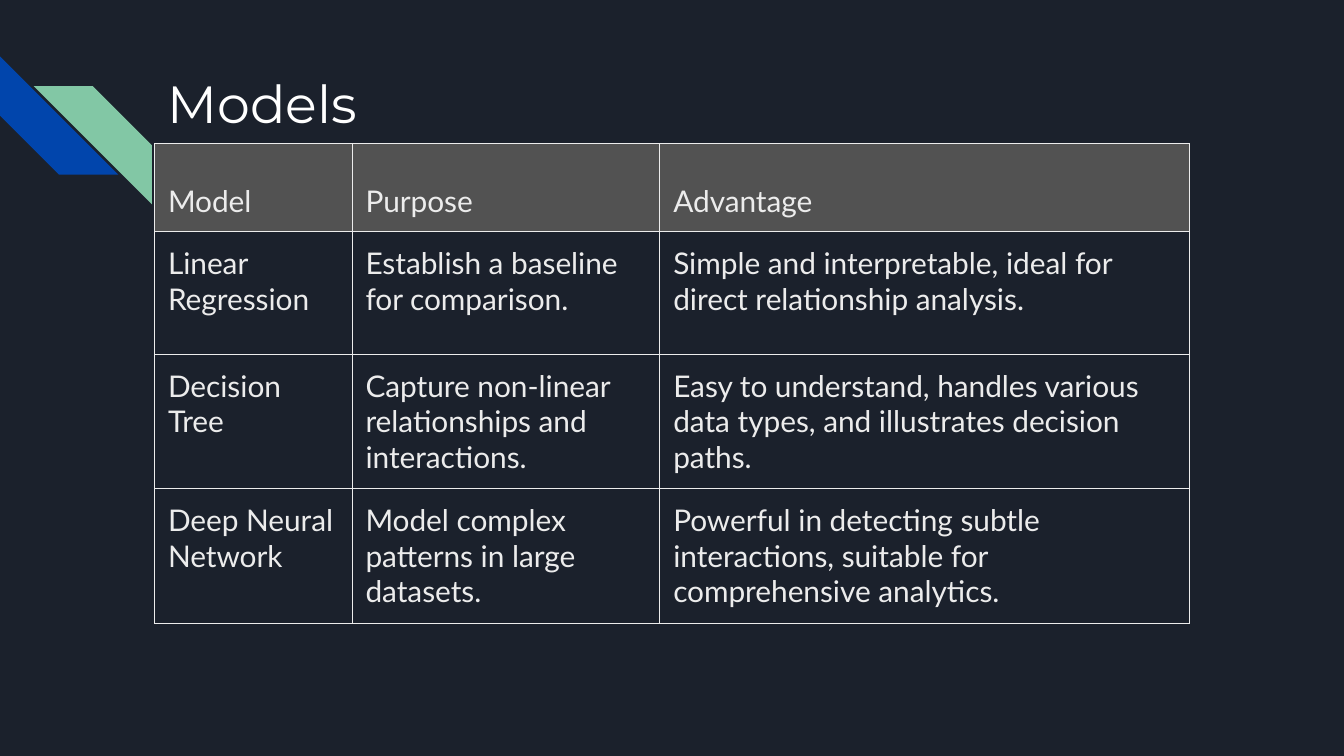
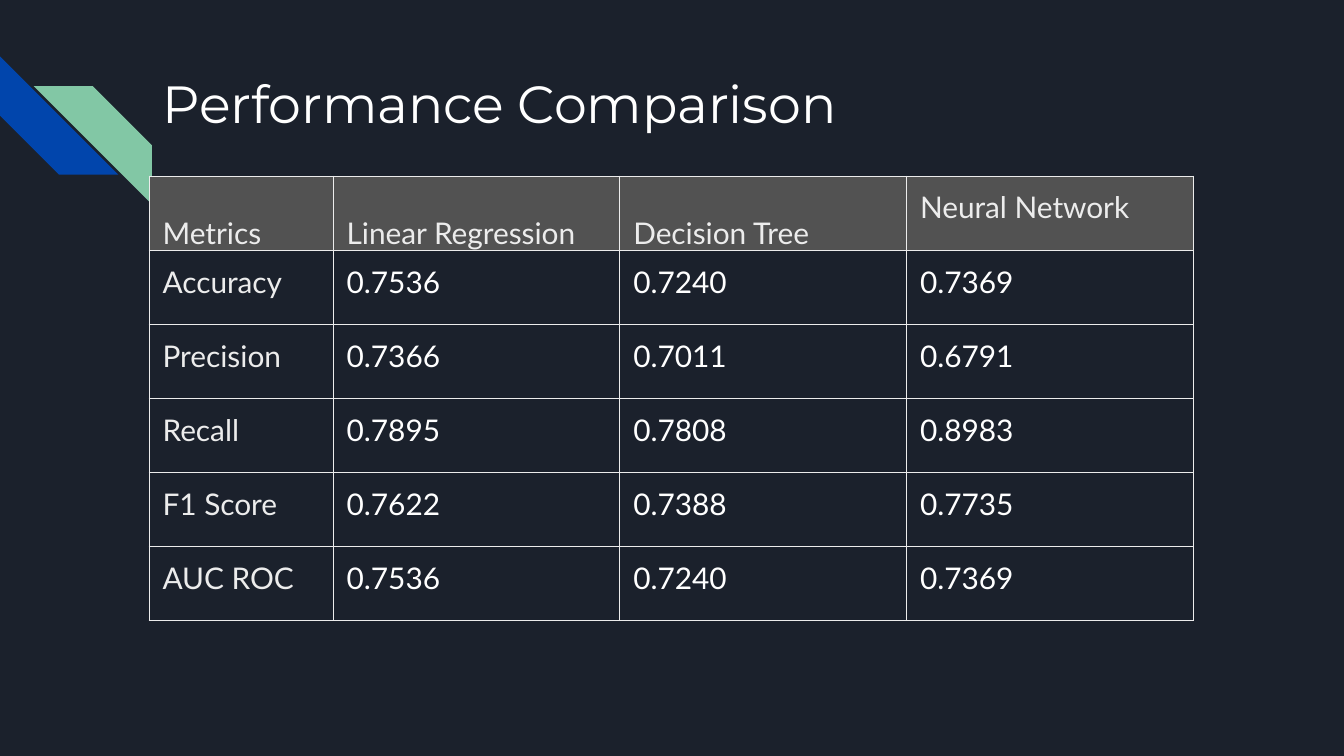
from lxml.etree import SubElement
from pptx import Presentation
from pptx.dml.color import RGBColor
from pptx.enum.shapes import MSO_SHAPE
from pptx.enum.text import MSO_ANCHOR
from pptx.oxml import parse_xml
from pptx.oxml.ns import nsdecls, qn
from pptx.util import Inches, Pt

NAVY, BLUE, GREEN = "1B212C", "0145AC", "82C7A5"
GREY, PALE, WHITE = "525252", "ECECEC", "FFFFFF"
TITLE_FONT, BODY_FONT = "Montserrat", "Lato"
SLIDE_WIDTH = 10
SLIDE_HEIGHT = SLIDE_WIDTH * 9 / 16
TITLE_TOP = 0.43
INSET = 0.1
STRIPE_SIZE = 0.88
HEADER_SPACING = 1.71
METRIC_WIDTH, SCORE_WIDTH = 1.37, 6.4 / 3

SLIDES = [
    {
        "title": "Models",
        "left": 1.15, "title_height": 0.64, "table_top": 1.07,
        "columns": [1.47, 2.29, 3.94],
        "row_heights": [0.51, 0.91, 0.91, 0.91],
        "header_anchor": MSO_ANCHOR.MIDDLE, "bottom_inset": INSET,
        "spaced_headers": 3, "value_color": PALE,
        "rows": [
            ("Model", "Purpose", "Advantage"),
            ("Linear Regression", "Establish a baseline for comparison.",
             "Simple and interpretable, ideal for direct relationship analysis."),
            ("Decision Tree", "Capture non-linear relationships and interactions.",
             "Easy to understand, handles various data types, and illustrates decision paths."),
            ("Deep Neural Network", "Model complex patterns in large datasets.",
             "Powerful in detecting subtle interactions, suitable for comprehensive analytics."),
        ],
    },
    {
        "title": "Performance Comparison",
        "left": 1.11, "title_height": 0.62, "table_top": 1.31,
        "columns": [METRIC_WIDTH] + [SCORE_WIDTH] * 3,
        "row_heights": [0.55] * 6,
        "header_anchor": MSO_ANCHOR.TOP, "bottom_inset": 0,
        "spaced_headers": 3, "value_color": WHITE,
        "rows": [
            ("Metrics", "Linear Regression", "Decision Tree", "Neural Network"),
            ("Accuracy", "0.7536", "0.7240", "0.7369"),
            ("Precision", "0.7366", "0.7011", "0.6791"),
            ("Recall", "0.7895", "0.7808", "0.8983"),
            ("F1 Score", "0.7622", "0.7388", "0.7735"),
            ("AUC ROC", "0.7536", "0.7240", "0.7369"),
        ],
    },
]


def paint(fill, color):
    fill.solid()
    fill.fore_color.rgb = RGBColor.from_string(color)


def write(paragraph, text, font, size, color):
    run = paragraph.add_run()
    run.text = text
    run.font.name = font
    run.font.size = Pt(size)
    run.font.color.rgb = RGBColor.from_string(color)


def set_insets(holder, bottom=INSET):
    """Set the inner margins of a text frame or a table cell."""
    holder.margin_left = holder.margin_right = holder.margin_top = Inches(INSET)
    holder.margin_bottom = Inches(bottom)


def add_stripe(slide, left, top, color):
    stripe = slide.shapes.add_shape(
        MSO_SHAPE.DIAGONAL_STRIPE, Inches(left), Inches(top),
        Inches(STRIPE_SIZE), Inches(STRIPE_SIZE))
    stripe.adjustments[0] = 0.5
    stripe.shadow.inherit = False
    stripe.line.fill.background()
    paint(stripe.fill, color)
    return stripe


def add_corner(slide):
    """Draw the two diagonal stripes at the upper left."""
    add_stripe(slide, 0, 0.42, BLUE).rotation = 270
    green_stripe = add_stripe(slide, 0.25, 0.64, GREEN)
    green_stripe.element.spPr.find(qn("a:xfrm")).set("flipH", "1")


def add_title(slide, content):
    box = slide.shapes.add_textbox(
        Inches(content["left"]), Inches(TITLE_TOP),
        Inches(sum(content["columns"])), Inches(content["title_height"]))
    frame = box.text_frame
    frame.word_wrap = True
    set_insets(frame)
    write(frame.paragraphs[0], content["title"], TITLE_FONT, 28, WHITE)


def add_borders(cell):
    properties = cell._tc.get_or_add_tcPr()
    for position, side in enumerate(("lnL", "lnR", "lnT", "lnB")):
        border = parse_xml(f'<a:{side} {nsdecls("a")} w="{Pt(0.6)}"/>')
        color_fill = SubElement(border, qn("a:solidFill"))
        SubElement(color_fill, qn("a:srgbClr"), val=PALE)
        properties.insert(position, border)


def fill_cell(cell, text, row, column, content):
    is_header = row == 0
    set_insets(cell, content["bottom_inset"])
    paragraph = cell.text_frame.paragraphs[0]
    if is_header:
        paint(cell.fill, GREY)
        cell.vertical_anchor = content["header_anchor"]
        if column < content["spaced_headers"]:
            paragraph.line_spacing = HEADER_SPACING
    else:
        cell.fill.background()
    color = PALE if is_header or column == 0 else content["value_color"]
    write(paragraph, text, BODY_FONT, 16, color)
    add_borders(cell)


def add_grid(slide, content):
    rows, columns, heights = content["rows"], content["columns"], content["row_heights"]
    table = slide.shapes.add_table(
        len(rows), len(columns), Inches(content["left"]), Inches(content["table_top"]),
        Inches(sum(columns)), Inches(sum(heights))).table
    table.first_row = table.horz_banding = False
    for column, width in zip(table.columns, columns):
        column.width = Inches(width)
    for row, height in zip(table.rows, heights):
        row.height = Inches(height)
    for r, texts in enumerate(rows):
        for c, text in enumerate(texts):
            fill_cell(table.cell(r, c), text, r, c, content)


def main():
    deck = Presentation()
    deck.slide_width, deck.slide_height = Inches(SLIDE_WIDTH), Inches(SLIDE_HEIGHT)
    for content in SLIDES:
        slide = deck.slides.add_slide(deck.slide_layouts[6])
        paint(slide.background.fill, NAVY)
        add_corner(slide)
        add_title(slide, content)
        add_grid(slide, content)
    deck.save("out.pptx")


if __name__ == "__main__":
    main()
